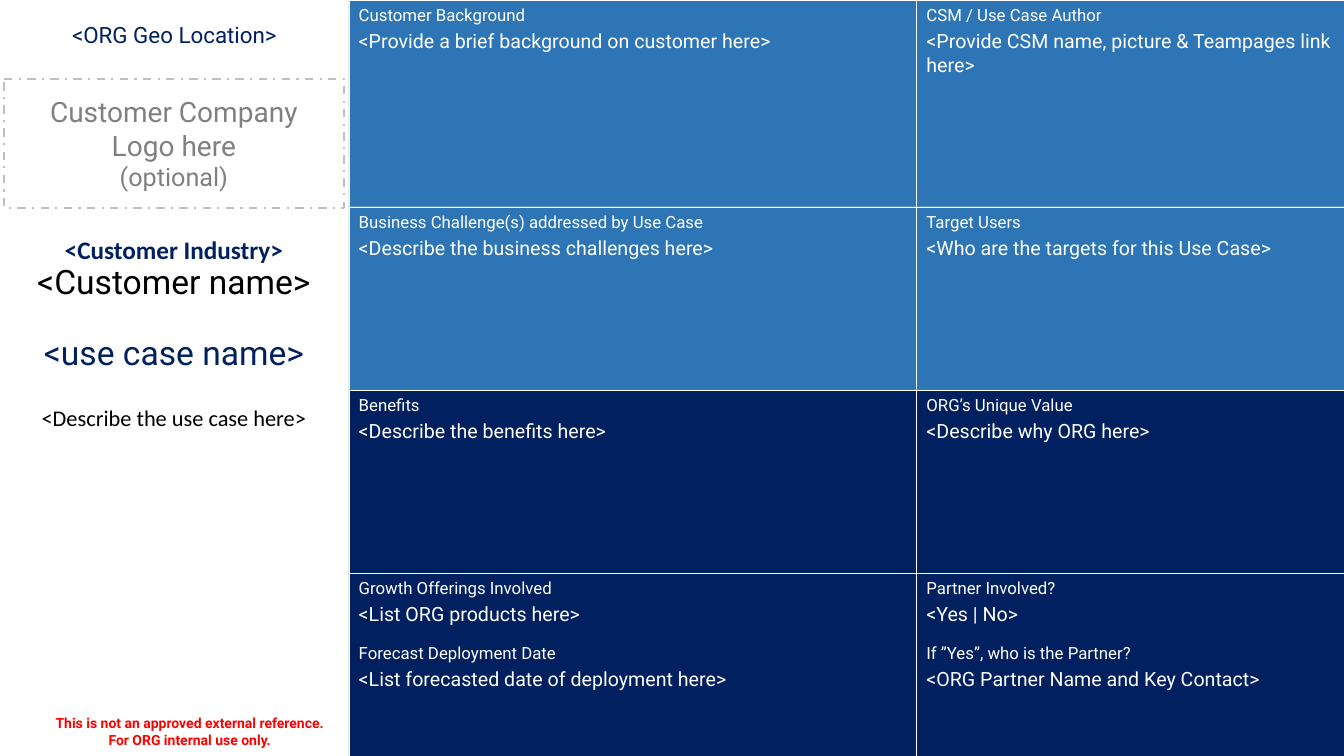
from pptx import Presentation
from pptx import util as u
from pptx.dml.color import RGBColor
from pptx.enum import dml, shapes, text

WHITE = RGBColor(0xFF, 0xFF, 0xFF)
BLACK = RGBColor(0x00, 0x00, 0x00)
NAVY = RGBColor(0x00, 0x20, 0x60)
BLUE = RGBColor(0x2E, 0x75, 0xB6)
RED = RGBColor(0xFF, 0x00, 0x00)
GREY = RGBColor(0x80, 0x80, 0x80)
LIGHT_GREY = RGBColor(0xBF, 0xBF, 0xBF)

WIDTH, HEIGHT = 13.33, 7.5
SIDE_WIDTH = 3.46
COLUMNS = [5.63, WIDTH - SIDE_WIDTH - 5.63]
FIRST_ROW = 2.05
ROWS = [FIRST_ROW] + [(HEIGHT - FIRST_ROW) / 3] * 3

# Each row: fill, then per column the (heading, prompt) pairs.
CARDS = [
    (BLUE,
     [("Customer Background", "<Provide a brief background on customer here>")],
     [("CSM / Use Case Author", "<Provide CSM name, picture & Teampages link here>")]),
    (BLUE,
     [("Business Challenge(s) addressed by Use Case", "<Describe the business challenges here>")],
     [("Target Users", "<Who are the targets for this Use Case>")]),
    (NAVY,
     [("Benefits", "<Describe the benefits here>")],
     [("ORG’s Unique Value", "<Describe why ORG here>")]),
    (NAVY,
     [("Growth Offerings Involved", "<List ORG products here>"),
      ("Forecast Deployment Date", "<List forecasted date of deployment here>")],
     [("Partner Involved?", "<Yes | No>"),
      ("If ”Yes”, who is the Partner?", "<ORG Partner Name and Key Contact>")]),
]


def inches(box):
    return [u.Inches(v) for v in box]


def write(tf, lines, align=text.PP_ALIGN.CENTER, spacing=None):
    """Fill a text frame with (text, size, colour, extra formats) lines."""
    for i, (wording, size, colour, extra) in enumerate(lines):
        p = tf.paragraphs[0] if i == 0 else tf.add_paragraph()
        p.alignment = align
        p.line_spacing = spacing
        p.space_before = u.Pt(extra.get("before", 0))
        r = p.add_run()
        r.text = wording
        formats = {"name": extra.get("font", "Roboto"), "size": u.Pt(size),
                   "bold": extra.get("bold", False)}
        for name, value in formats.items():
            setattr(r.font, name, value)
        r.font.color.rgb = colour


def add_text(s, box, lines, wrap=True, grow=True, spacing=None):
    tf = s.shapes.add_textbox(*inches(box)).text_frame
    tf.word_wrap = wrap
    if grow:
        tf.auto_size = text.MSO_AUTO_SIZE.SHAPE_TO_FIT_TEXT
    write(tf, lines, spacing=spacing)


def add_panel(s, kind, box, line_colour, line_width, anchor):
    sp = s.shapes.add_shape(kind, *inches(box))
    sp.shadow.inherit = False
    sp.line.color.rgb = line_colour
    sp.line.width = u.Pt(line_width)
    sp.text_frame.word_wrap = True
    sp.text_frame.vertical_anchor = anchor
    return sp


def add_logo_frame(s, box):
    sp = add_panel(s, shapes.MSO_SHAPE.FLOWCHART_PROCESS, box, LIGHT_GREY, 1.5,
                   text.MSO_ANCHOR.MIDDLE)
    sp.fill.background()
    sp.line.dash_style = dml.MSO_LINE.DASH_DOT
    write(sp.text_frame, [("Customer Company", 20, GREY, {}),
                          ("Logo here", 20, GREY, {}),
                          ("(optional)", 18, GREY, {})])


def add_sidebar(s, left, top, width, height):
    add_text(s, (left + 0.6, top + 0.16, 2.26, 0.37),
             [("<ORG Geo Location>", 16, NAVY, {})], wrap=False)
    add_logo_frame(s, (left + 0.04, top + 0.78, width - 0.09, 1.28))
    add_text(s, (left + 0.02, top + 2.31, width - 0.05, 4.09),
             [("<Customer Industry>", 18, NAVY, {"font": "Calibri", "bold": True}),
              ("<Customer name>", 24, BLACK, {}),
              ("<use case name>", 24, NAVY, {"before": 25}),
              ("<Describe the use case here>", 16, BLACK, {"font": "Calibri", "before": 25})],
             grow=False, spacing=0.9)
    add_text(s, (left + 0.34, top + height - 0.46, 3.08, 0.44),
             [(wording, 10, RED, {"bold": True}) for wording in
              ("This is not an approved external reference.", "For ORG internal use only.")])


def add_card(s, box, fill, entries):
    sp = add_panel(s, shapes.MSO_SHAPE.RECTANGLE, box, WHITE, 0.1, text.MSO_ANCHOR.TOP)
    sp.fill.solid()
    sp.fill.fore_color.rgb = fill
    lines = []
    for heading, prompt in entries:
        lines += [(heading, 12, WHITE, {"before": 12 if lines else 0}),
                  (prompt, 14, WHITE, {"before": 3})]
    write(sp.text_frame, lines, text.PP_ALIGN.LEFT)


def add_card_grid(s, left, top):
    for row, (fill, *cells) in enumerate(CARDS):
        for col, entries in enumerate(cells):
            box = (left + sum(COLUMNS[:col]), top + sum(ROWS[:row]), COLUMNS[col], ROWS[row])
            add_card(s, box, fill, entries)


def main():
    prs = Presentation()
    prs.slide_width, prs.slide_height = inches((WIDTH, HEIGHT))
    s = prs.slides.add_slide(prs.slide_layouts[6])
    s.background.fill.solid()
    s.background.fill.fore_color.rgb = WHITE
    add_sidebar(s, 0, 0, SIDE_WIDTH, HEIGHT)
    add_card_grid(s, SIDE_WIDTH, 0)
    prs.save("out.pptx")


if __name__ == "__main__":
    main()
